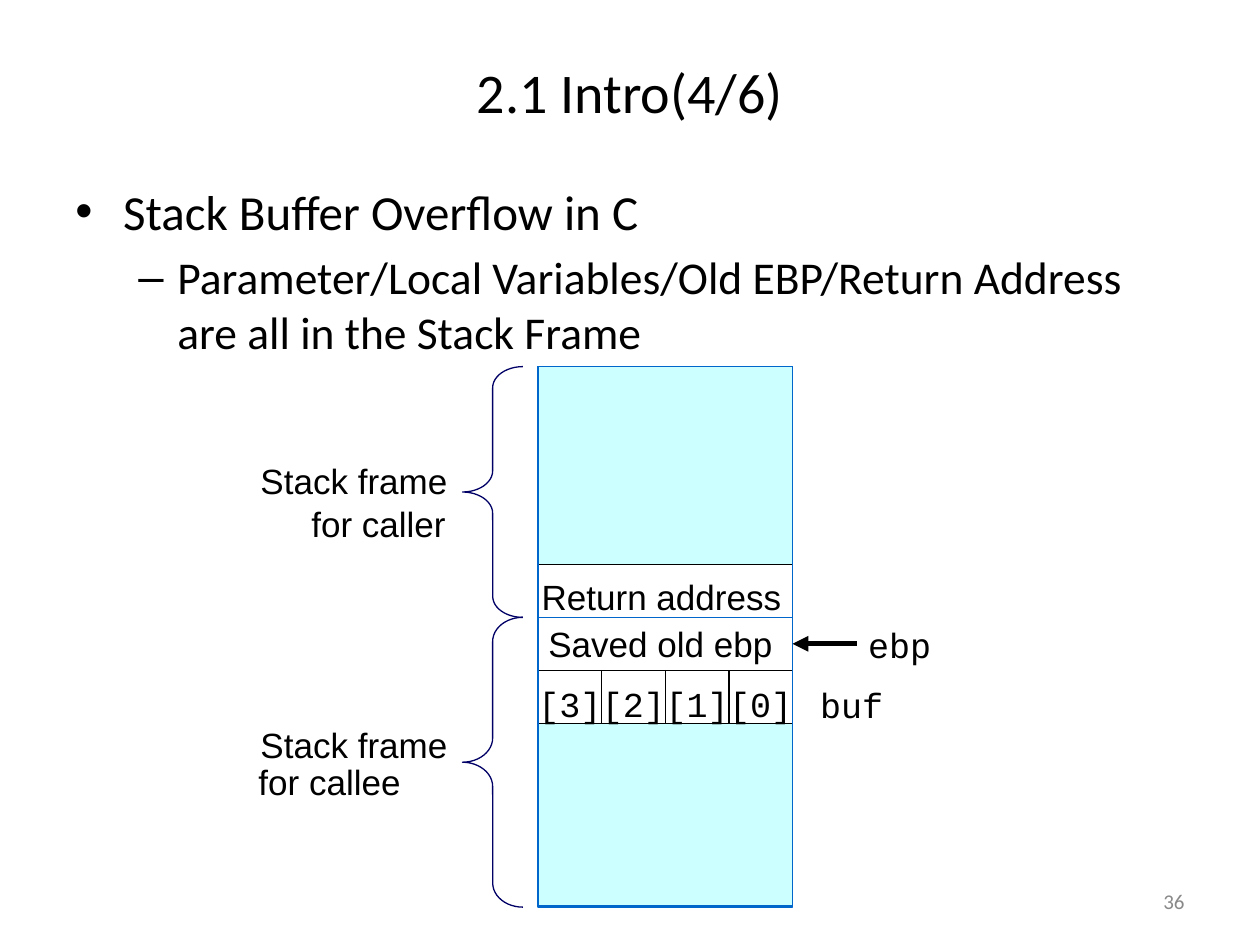
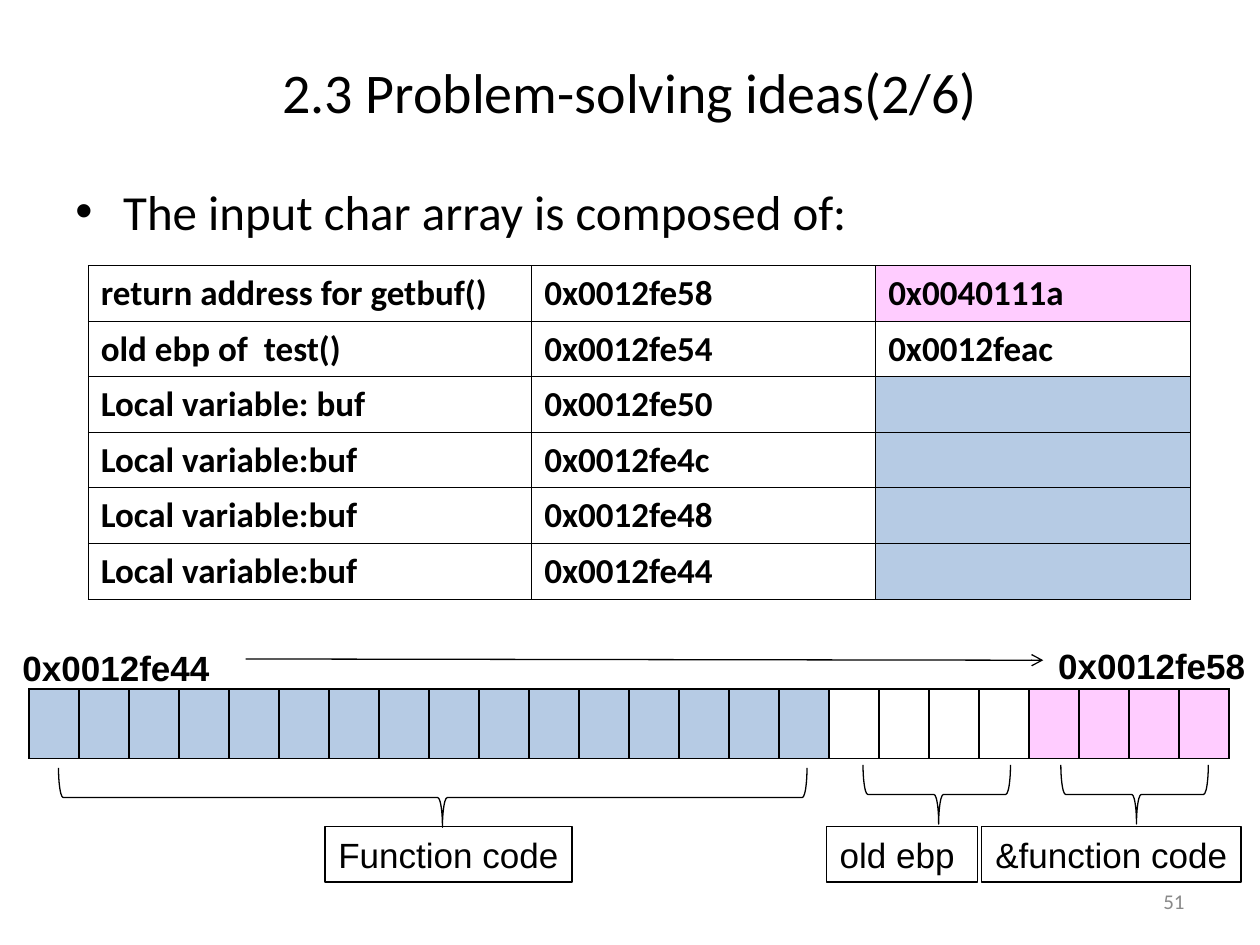
"""Build two slides on stack buffer overflows and the input array that exploits them."""
from lxml.etree import SubElement
from pptx import Presentation
from pptx.dml.color import RGBColor
from pptx.enum.shapes import MSO_CONNECTOR, MSO_SHAPE
from pptx.enum.text import MSO_ANCHOR, MSO_AUTO_SIZE, PP_ALIGN
from pptx.oxml.ns import qn
from pptx.util import Inches, Pt

BLACK = RGBColor(0x00, 0x00, 0x00)
WHITE = RGBColor(0xFF, 0xFF, 0xFF)
GREY = RGBColor(0x89, 0x89, 0x89)
CYAN = RGBColor(0xCC, 0xFF, 0xFF)
FRAME_BLUE = RGBColor(0x00, 0x66, 0xCC)
NAVY = RGBColor(0x00, 0x00, 0x66)
CODE_BLUE = RGBColor(0xB6, 0xCB, 0xE4)
PINK = RGBColor(0xFF, 0xCC, 0xFF)
HEADING, LABEL, CODE = "Calibri", "Arial", "Courier New"


def write(frame, text, size=20, font=LABEL, color=BLACK, bold=False, align=PP_ALIGN.CENTER,
          anchor=MSO_ANCHOR.MIDDLE, wrap=False, insets=None, bullet=None, indent=(0, 0)):
    """Add text as the next paragraph of a frame."""
    frame.word_wrap = wrap
    frame.auto_size = MSO_AUTO_SIZE.NONE
    frame.vertical_anchor = anchor
    if insets is not None:
        frame.margin_left, frame.margin_top, frame.margin_right, frame.margin_bottom = map(Inches, insets)
    paragraph = frame.add_paragraph() if frame.text else frame.paragraphs[0]
    paragraph.alignment = align
    run = paragraph.add_run()
    run.text = text
    run.font.size, run.font.name, run.font.bold = Pt(size), font, bold
    run.font.color.rgb = color
    if bullet:
        paragraph.space_before = Pt(size * 0.2)
        properties = paragraph._p.get_or_add_pPr()
        properties.set("marL", str(Inches(indent[0])))
        properties.set("indent", str(Inches(indent[1])))
        SubElement(properties, qn("a:buFont"), typeface="Arial")
        SubElement(properties, qn("a:buChar"), char=bullet)


def add_arrow(slide, start, end, width, head, target=None):
    """Draw an arrow, joined to the right side of the target if there is one."""
    arrow = slide.shapes.add_connector(MSO_CONNECTOR.STRAIGHT, *map(Inches, start + end))
    if target is not None:
        arrow.end_connect(target, 3)
    arrow.line.color.rgb = BLACK
    arrow.line.width = Pt(width)
    SubElement(arrow.line._get_or_add_ln(), qn("a:tailEnd"), type=head)
    SubElement(arrow._element.spPr, qn("a:effectLst"))


deck = Presentation()
deck.slide_width, deck.slide_height = Inches(10), Inches(7.5)

pages = [
    ("2.1 Intro(4/6)", "36",
     ["Stack Buffer Overflow in C",
      "Parameter/Local Variables/Old EBP/Return Address are all in the Stack Frame"]),
    ("2.3 Problem-solving ideas(2/6)", "51", ["The input char array is composed of:"]),
]
levels = [(28, "•", (0.38, -0.38)), (26, "–", (0.81, -0.31))]
for heading, number, points in pages:
    slide = deck.slides.add_slide(deck.slide_layouts[5])
    title = slide.shapes.title
    title.left, title.top, title.width, title.height = map(Inches, (0, 0.3, 10, 0.85))
    write(title.text_frame, heading, size=32, font=HEADING, wrap=True)
    body = slide.shapes.add_textbox(*map(Inches, (0.5, 1.39, 9, 5.31)))
    for point, (size, bullet, indent) in zip(points, levels):
        write(body.text_frame, point, size=size, font=HEADING, align=PP_ALIGN.LEFT,
              anchor=MSO_ANCHOR.TOP, wrap=True, bullet=bullet, indent=indent)
    page_number = slide.shapes.add_textbox(*map(Inches, (7.17, 6.95, 2.33, 0.4)))
    write(page_number.text_frame, number, size=12, font=HEADING, color=GREY,
          align=PP_ALIGN.RIGHT, wrap=True)
stack_slide, input_slide = deck.slides

STACK_LEFT, STACK_WIDTH, SLOT_HEIGHT = 4.27, 2.02, 0.42
BYTE_WIDTH = STACK_WIDTH / 4
stack_blocks = [
    (STACK_LEFT, 2.91, STACK_WIDTH, 1.57, CYAN, FRAME_BLUE, "", LABEL, 0, 0),
    (STACK_LEFT, 5.73, STACK_WIDTH, 1.46, CYAN, FRAME_BLUE, "", LABEL, 0, 0),
    (STACK_LEFT, 4.48, STACK_WIDTH, SLOT_HEIGHT, WHITE, BLACK, "Return address", LABEL, 0.09, 0.06),
]
stack_blocks += [
    (STACK_LEFT + i * BYTE_WIDTH, 5.32, BYTE_WIDTH, SLOT_HEIGHT, WHITE, BLACK, f"[{3 - i}]", CODE, 0.1, 0)
    for i in range(4)
]
stack_blocks += [
    (STACK_LEFT, 4.9, STACK_WIDTH, SLOT_HEIGHT, WHITE, BLACK, "Saved old ebp ", LABEL, 0, 0),
    (STACK_LEFT, 4.9, STACK_WIDTH, 2.3, None, FRAME_BLUE, "", LABEL, 0, 0),
    (STACK_LEFT, 2.91, STACK_WIDTH, 1.99, None, FRAME_BLUE, "", LABEL, 0, 0),
]
for left, top, width, height, fill, outline, text, font, top_inset, right_inset in stack_blocks:
    block = stack_slide.shapes.add_shape(MSO_SHAPE.RECTANGLE, *map(Inches, (left, top, width, height)))
    block.shadow.inherit = False
    if fill is None:
        block.fill.background()
    else:
        block.fill.solid()
        block.fill.fore_color.rgb = fill
    block.line.color.rgb = outline
    block.line.width = Pt(0)
    if text:
        write(block.text_frame, text, font=font, insets=(0, top_inset, right_inset, 0))
    if text.startswith("Saved"):
        saved_ebp = block
add_arrow(stack_slide, (6.8, 5.11), (6.29, 5.11), 3, "triangle", target=saved_ebp)

for top, height, curve in [(2.91, 1.99, 0.35), (4.9, 2.3, 0.4)]:
    frame_brace = stack_slide.shapes.add_shape(MSO_SHAPE.LEFT_BRACE, *map(Inches, (3.67, top, 0.48, height)))
    frame_brace.shadow.inherit = False
    frame_brace.adjustments[0] = curve
    frame_brace.fill.background()
    frame_brace.line.color.rgb = NAVY
    frame_brace.line.width = Pt(0)

stack_labels = [
    ("Stack frame", LABEL, 1.99, 3.62, 1.64, 0.39),
    ("for caller", LABEL, 2.4, 3.96, 1.21, 0.39),
    ("Stack frame", LABEL, 1.99, 5.71, 1.64, 0.39),
    ("for callee ", LABEL, 2.05, 6.03, 1.21, 0.34),
    ("ebp", CODE, 6.8, 4.92, 0.68, 0.39),
    ("buf", CODE, 6.42, 5.4, 0.68, 0.39),
]
for text, font, *place in stack_labels:
    stack_label = stack_slide.shapes.add_textbox(*map(Inches, place))
    write(stack_label.text_frame, text, font=font, insets=(0, 0, 0, 0))

memory_rows = [
    [("return address for getbuf()", WHITE), ("0x0012fe58", WHITE), ("0x0040111a", PINK)],
    [("old ebp of  test()", WHITE), ("0x0012fe54", WHITE), ("0x0012feac", WHITE)],
    [("Local variable: buf", WHITE), ("0x0012fe50", WHITE), ("", CODE_BLUE)],
]
memory_rows += [
    [("Local variable:buf", WHITE), (address, WHITE), ("", CODE_BLUE)]
    for address in ("0x0012fe4c", "0x0012fe48", "0x0012fe44")
]
input_bytes = [[("", color) for color in [CODE_BLUE] * 16 + [WHITE] * 4 + [PINK] * 4]]
grids = [
    (memory_rows, 0.7, 2.11, [3.52, 2.73, 2.5], 0.44, 0.5),
    (input_bytes, 0.23, 5.47, [9.53 / 24] * 24, 0.55, 1),
]
for rows, left, top, widths, row_height, border in grids:
    place = map(Inches, (left, top, sum(widths), row_height * len(rows)))
    grid = input_slide.shapes.add_table(len(rows), len(widths), *place).table
    grid.first_row = grid.horz_banding = False
    for column, width in zip(grid.columns, widths):
        column.width = Inches(width)
    for r, row in enumerate(rows):
        grid.rows[r].height = Inches(row_height)
        for c, (text, color) in enumerate(row):
            cell = grid.cell(r, c)
            if text:
                write(cell.text_frame, text, font=HEADING, bold=True, align=PP_ALIGN.LEFT,
                      anchor=MSO_ANCHOR.TOP, wrap=True)
            properties = cell._tc.get_or_add_tcPr()
            for side in ("a:lnL", "a:lnR", "a:lnT", "a:lnB"):
                edge = SubElement(properties, qn(side), w=str(Pt(border)))
                SubElement(SubElement(edge, qn("a:solidFill")), qn("a:srgbClr"), val=str(BLACK))
            cell.fill.solid()
            cell.fill.fore_color.rgb = color

input_parts = [
    ("&function code", 7.79, 2.06, WHITE, 8.77, 5.72, 1.17, 0.08),
    ("old ebp ", 6.56, 1.2, None, 7.2, 5.72, 1.17, 0.08),
    ("Function code", 2.58, 1.96, None, 3.2, 3.36, 5.94, 0.08),
]
for text, left, width, fill, brace_left, brace_top, brace_length, curve in input_parts:
    part_brace = input_slide.shapes.add_shape(
        MSO_SHAPE.LEFT_BRACE, *map(Inches, (brace_left, brace_top, 0.47, brace_length)))
    part_brace.rotation = 270
    part_brace.adjustments[0], part_brace.adjustments[1] = curve, 0.513
    part_box = input_slide.shapes.add_shape(MSO_SHAPE.RECTANGLE, *map(Inches, (left, 6.56, width, 0.44)))
    for shape, color in ((part_brace, WHITE), (part_box, fill)):
        shape.shadow.inherit = False
        if color is None:
            shape.fill.background()
        else:
            shape.fill.solid()
            shape.fill.fore_color.rgb = color
        shape.line.color.rgb = BLACK
        shape.line.width = Pt(0.75)
    write(part_box.text_frame, text)

for address, left, top in [("0x0012fe44", 0.08, 5.08), ("0x0012fe58", 8.3, 5.06)]:
    address_label = input_slide.shapes.add_textbox(*map(Inches, (left, top, 1.7, 0.44)))
    write(address_label.text_frame, address, bold=True, align=PP_ALIGN.LEFT)
add_arrow(input_slide, (1.95, 5.23), (8.28, 5.24), 0.75, "arrow")

deck.save("out.pptx")
